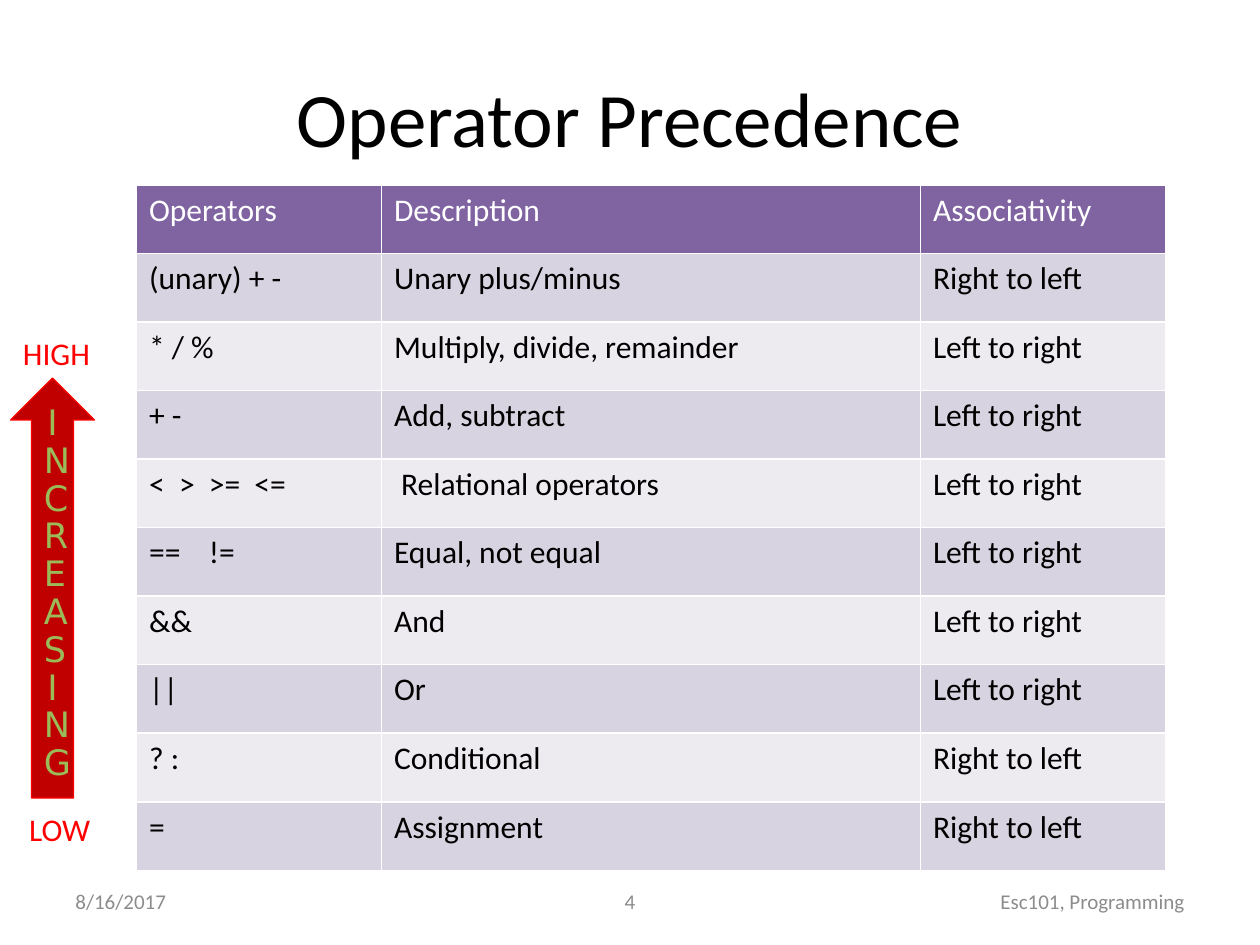
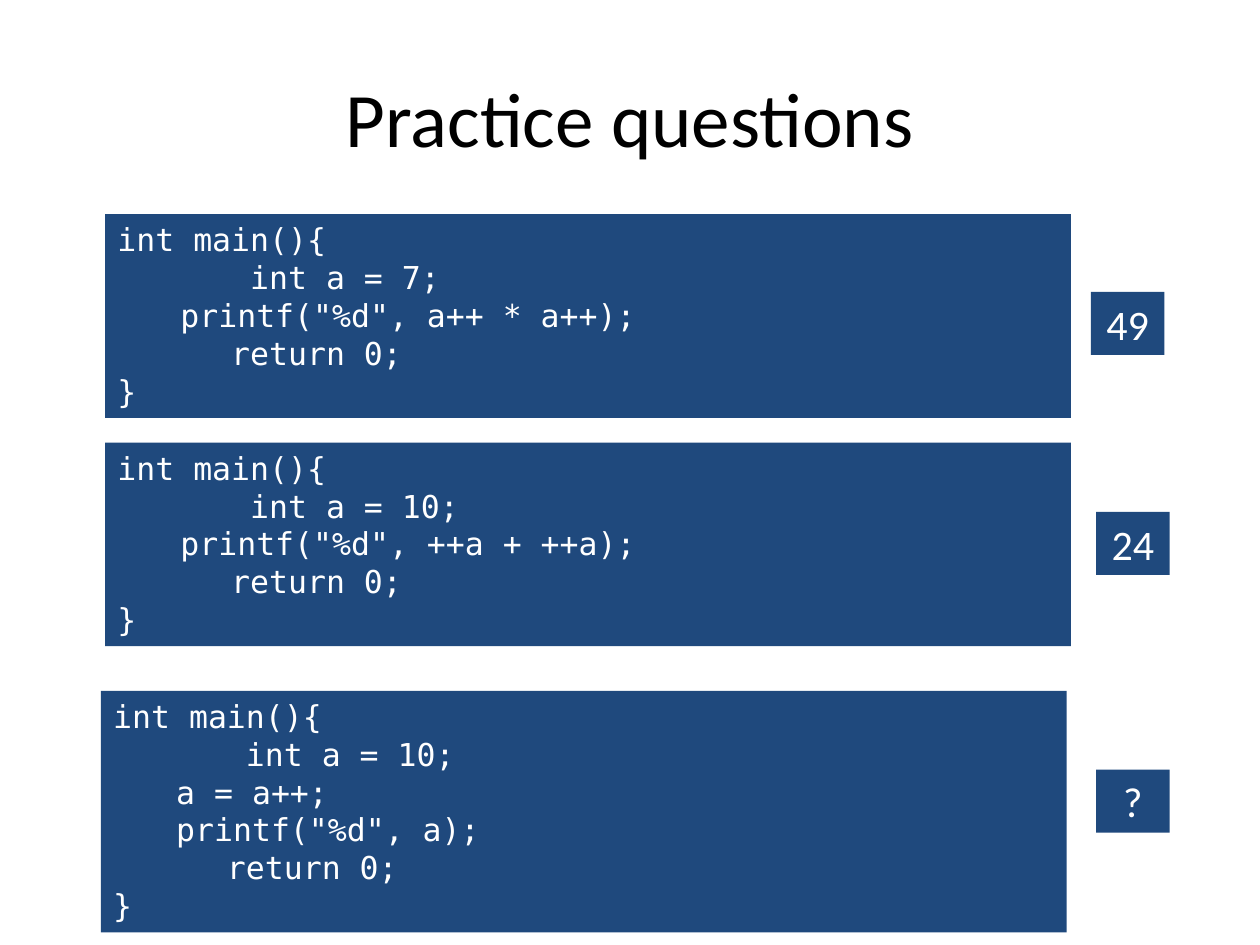
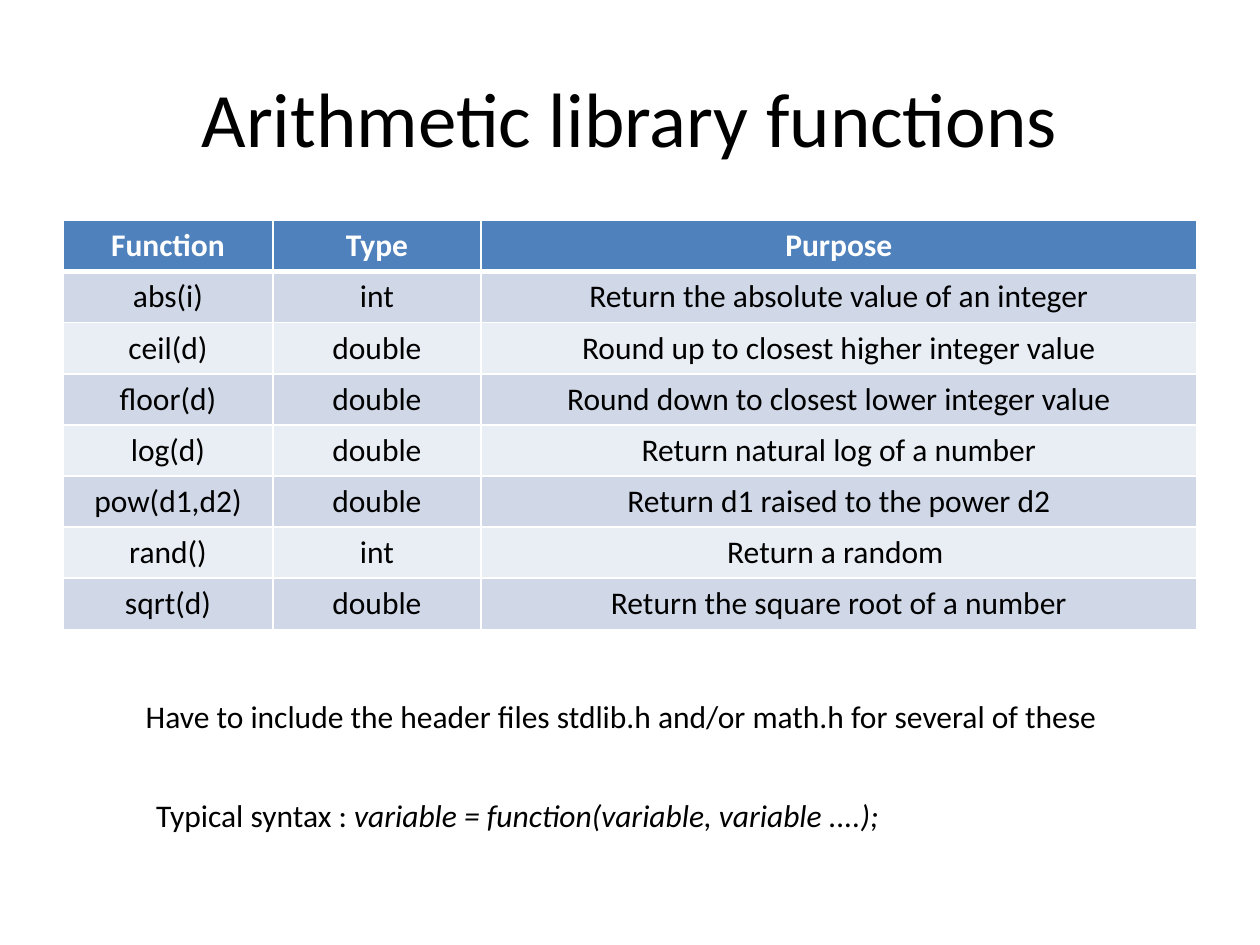
from dataclasses import dataclass
from typing import NamedTuple

from lxml.etree import SubElement
from pptx import Presentation
from pptx.dml.color import RGBColor
from pptx.enum.shapes import MSO_SHAPE
from pptx.enum.text import MSO_ANCHOR, MSO_AUTO_SIZE, PP_ALIGN
from pptx.oxml.ns import qn
from pptx.util import Inches, Pt


@dataclass(frozen=True)
class Theme:
    body_font: str = "Calibri"
    arrow_font: str = "DejaVu Sans"
    code_font: str = "DejaVu Sans Mono"
    title_size: float = 44
    answer_size: float = 24
    arrow_size: float = 20
    body_size: float = 18
    footer_size: float = 12
    black: str = "000000"
    white: str = "FFFFFF"
    grey: str = "8C8C8C"
    red: str = "FF0000"
    dark_red: str = "C00000"
    green: str = "9BBB59"
    navy: str = "1F497D"


class Spot(NamedTuple):
    column: float
    row: float
    columns: float
    rows: float


class Style(NamedTuple):
    size: float
    color: str
    font: str = "Calibri"
    align: PP_ALIGN = PP_ALIGN.LEFT
    bold: bool = False


class Label(NamedTuple):
    text: str
    spot: Spot
    style: Style
    wrap: bool = True
    anchor: MSO_ANCHOR = MSO_ANCHOR.TOP


class Grid(NamedTuple):
    spot: Spot
    weights: tuple
    header: str
    bands: tuple
    header_rule: float
    align: PP_ALIGN
    bold_header: bool
    rows: list


class Question(NamedTuple):
    code: str
    code_spot: Spot
    answer: str
    answer_spot: Spot


THEME = Theme()
PAGE_WIDTH, PAGE_HEIGHT = Inches(10), Inches(7.5)
GRID_COLUMNS, GRID_ROWS = 120, 90
TITLE_SPOT = Spot(6, 3.6, 108, 15)

BODY = Style(THEME.body_size, THEME.black)
TITLE = Style(THEME.title_size, THEME.black, align=PP_ALIGN.CENTER)
CODE = Style(THEME.body_size, THEME.white, THEME.code_font)
ANSWER = Style(THEME.answer_size, THEME.white, align=PP_ALIGN.CENTER)
LEVEL = Style(THEME.body_size, THEME.red)
ARROW = Style(THEME.arrow_size, THEME.green, THEME.arrow_font, PP_ALIGN.CENTER)


def footer(text: str, column: float, columns: float, align: PP_ALIGN) -> Label:
    style = Style(THEME.footer_size, THEME.grey, align=align)
    return Label(text, Spot(column, 83.4, columns, 4.8), style, anchor=MSO_ANCHOR.MIDDLE)


FOOTERS = [
    footer("8/16/2017", 6, 28, PP_ALIGN.LEFT),
    footer("4", 41, 38, PP_ALIGN.CENTER),
    footer("Esc101, Programming", 86, 28, PP_ALIGN.RIGHT),
]

LEVELS = [
    Label("LOW", Spot(1.6, 76.6, 9.4, 4.8), LEVEL, wrap=False),
    Label("HIGH", Spot(1, 31.2, 10, 4.8), LEVEL, wrap=False),
]

PRECEDENCE = Grid(
    Spot(13, 17.6, 98, 65.3), (5, 11, 5), "8064A2", ("D8D3E0", "EDEAF0"),
    1, PP_ALIGN.LEFT, False,
    [
        ("Operators", "Description", "Associativity"),
        ("(unary) + -", "Unary plus/minus", "Right to left"),
        ("* / %", "Multiply, divide, remainder", "Left to right"),
        ("+ -", "Add, subtract", "Left to right"),
        ("<  >  >=  <=", " Relational operators", "Left to right"),
        ("==    !=", "Equal, not equal", "Left to right"),
        ("&&", "And", "Left to right"),
        ("||", "Or", "Left to right"),
        ("? :", "Conditional", "Right to left"),
        ("=", "Assignment", "Right to left"),
    ],
)

FUNCTIONS = Grid(
    Spot(6, 21, 108, 38.9), (20, 19.8, 68.2), "4F81BD", ("D0D8E8", "E9EDF4"),
    3, PP_ALIGN.CENTER, True,
    [
        ("Function", "Type", "Purpose"),
        ("abs(i)", "int", "Return the absolute value of an integer"),
        ("ceil(d)", "double", "Round up to closest higher integer value"),
        ("floor(d)", "double", "Round down to closest lower integer value"),
        ("log(d)", "double", "Return natural log of a number"),
        ("pow(d1,d2)", "double", "Return d1 raised to the power d2"),
        ("rand()", "int", "Return a random "),
        ("sqrt(d)", "double", "Return the square root of a number"),
    ],
)


def program(start: int, *statements: str) -> str:
    lines = ["int main(){", f"       int a = {start};"]
    lines += [f"\t{statement}" for statement in statements]
    return "\n".join(lines + ["      return 0;", "}"])


QUESTIONS = [
    Question(program(7, 'printf("%d", a++ * a++);'), Spot(10, 20.4, 92, 19.4),
             "49", Spot(103.9, 27.8, 7, 6)),
    Question(program(10, 'printf("%d", ++a + ++a);'), Spot(10, 42.15, 92, 19.4),
             "24", Spot(104.4, 48.75, 7, 6)),
    Question(program(10, "a = a++;", 'printf("%d", a);'), Spot(9.6, 65.8, 92, 23),
             "?", Spot(104.4, 73.3, 7, 6)),
]


def place(spot: Spot) -> tuple:
    cell_width, cell_height = PAGE_WIDTH / GRID_COLUMNS, PAGE_HEIGHT / GRID_ROWS
    return (round(spot.column * cell_width), round(spot.row * cell_height),
            round(spot.columns * cell_width), round(spot.rows * cell_height))


def write(frame, text: str, style: Style) -> None:
    frame.text = text
    for paragraph in frame.paragraphs:
        paragraph.alignment = style.align
        for span in paragraph.runs:
            span.font.name = style.font
            span.font.size = Pt(style.size)
            span.font.bold = style.bold
            span.font.color.rgb = RGBColor.from_string(style.color)


def add_page(deck, title: str):
    page = deck.slides.add_slide(deck.slide_layouts[5])
    heading = page.shapes.title
    heading.left, heading.top, heading.width, heading.height = place(TITLE_SPOT)
    heading.text_frame.vertical_anchor = MSO_ANCHOR.MIDDLE
    write(heading.text_frame, title, TITLE)
    return page


def add_label(page, label: Label):
    box = page.shapes.add_textbox(*place(label.spot))
    box.text_frame.word_wrap = label.wrap
    box.text_frame.vertical_anchor = label.anchor
    write(box.text_frame, label.text, label.style)
    return box


def add_panel(page, kind: MSO_SHAPE, spot: Spot, fill: str, text: str, style: Style):
    panel = page.shapes.add_shape(kind, *place(spot))
    panel.shadow.inherit = False
    panel.fill.solid()
    panel.fill.fore_color.rgb = RGBColor.from_string(fill)
    panel.line.fill.background()
    panel.text_frame.word_wrap = True
    panel.text_frame.vertical_anchor = MSO_ANCHOR.TOP
    write(panel.text_frame, text, style)
    return panel


def add_border(cell, side: str, points: float) -> None:
    line = SubElement(cell._tc.get_or_add_tcPr(), qn(f"a:ln{side}"), w=str(Pt(points)))
    fill = SubElement(line, qn("a:solidFill"))
    SubElement(fill, qn("a:srgbClr"), val=THEME.white)


def add_grid(page, grid: Grid) -> None:
    left, top, width, height = place(grid.spot)
    row_count = len(grid.rows)
    table = page.shapes.add_table(row_count, len(grid.weights), left, top, width, height).table
    table.first_row = table.horz_banding = False
    for column, weight in zip(table.columns, grid.weights):
        column.width = round(width * weight / sum(grid.weights))
    for index, texts in enumerate(grid.rows):
        table.rows[index].height = round(height / row_count)
        is_header = index == 0
        fill = grid.header if is_header else grid.bands[(index - 1) % 2]
        style = BODY._replace(
            color=THEME.white if is_header else THEME.black,
            align=grid.align, bold=is_header and grid.bold_header)
        rules = {"L": 1, "R": 1, "T": grid.header_rule if index == 1 else 1,
                 "B": grid.header_rule if is_header else 1}
        for column_index, text in enumerate(texts):
            cell = table.cell(index, column_index)
            for side, points in rules.items():
                add_border(cell, side, points)
            cell.fill.solid()
            cell.fill.fore_color.rgb = RGBColor.from_string(fill)
            write(cell.text_frame, text, style)


def build_precedence(deck) -> None:
    page = add_page(deck, "Operator Precedence")
    for label in FOOTERS:
        add_label(page, label)
    add_grid(page, PRECEDENCE)
    arrow = add_panel(page, MSO_SHAPE.UP_ARROW, Spot(1, 36, 8, 40),
                      THEME.dark_red, "INCREASING", ARROW)
    arrow.line.color.rgb = RGBColor.from_string(THEME.red)
    arrow.line.width = Pt(0.75)
    arrow.text_frame.paragraphs[0].line_spacing = 0.9
    for label in LEVELS:
        add_label(page, label)


def build_practice(deck) -> None:
    page = add_page(deck, "Practice questions")
    for question in QUESTIONS:
        for text, spot, style in (
            (question.code, question.code_spot, CODE),
            (question.answer, question.answer_spot, ANSWER),
        ):
            panel = add_panel(page, MSO_SHAPE.RECTANGLE, spot, THEME.navy, text, style)
            panel.text_frame.auto_size = MSO_AUTO_SIZE.SHAPE_TO_FIT_TEXT


def build_functions(deck) -> None:
    page = add_page(deck, "Arithmetic library functions")
    add_grid(page, FUNCTIONS)
    add_label(page, Label(
        "Have to include the header files stdlib.h and/or math.h for several of these",
        Spot(12.7, 65.8, 100.2, 4.8), BODY))
    syntax = add_label(page, Label("Typical syntax : ", Spot(13.7, 75.2, 93.6, 4.8), BODY))
    span = syntax.text_frame.paragraphs[0].add_run()
    span.text = "variable = function(variable, variable ....);"
    span.font.name = BODY.font
    span.font.size = Pt(BODY.size)
    span.font.italic = True
    span.font.color.rgb = RGBColor.from_string(BODY.color)


def main() -> None:
    deck = Presentation()
    deck.slide_width, deck.slide_height = PAGE_WIDTH, PAGE_HEIGHT
    build_precedence(deck)
    build_practice(deck)
    build_functions(deck)
    deck.save("out.pptx")


if __name__ == "__main__":
    main()
